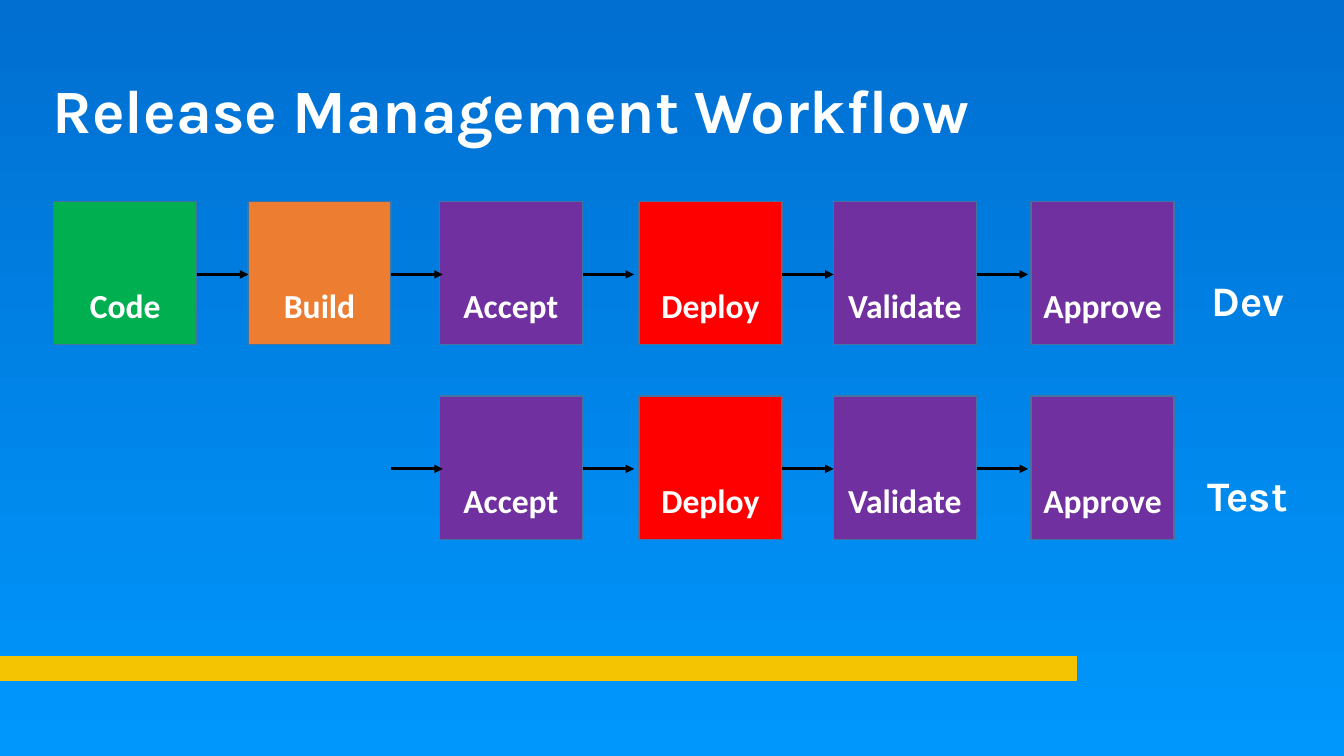
from pptx import Presentation
from pptx.dml.color import RGBColor
from pptx.enum.shapes import MSO_CONNECTOR as Connector, MSO_SHAPE as Shape
from pptx.enum.text import MSO_ANCHOR as Anchor, PP_ALIGN as Align
from pptx.oxml.ns import qn
from pptx.util import Cm, Pt
from lxml.etree import SubElement

# Content
TITLE = "Release Management Workflow"
STEPS = [  # name, fill, left edge in cm
    ("Code", "green", 1.35),
    ("Build", "orange", 6.25),
    ("Accept", "purple", 11.07),
    ("Deploy", "red", 16.1),
    ("Validate", "purple", 21),
    ("Approve", "purple", 25.98),
]
STAGES = [("Dev", 0, 5.08), ("Test", 2, 9.98)]  # name, first step, top in cm

COLORS = {
    "sky_top": "006FD1", "sky_bottom": "0097FC", "yellow": "F4C301",
    "green": "00B050", "orange": "ED7D31", "purple": "7030A0", "red": "FF0000",
    "outline": "43739E", "white": "FFFFFF", "black": "000000",
}
BOX = 3.61
ARROW = 1.3
LABEL_LEFT = 29.64


def color(name):
    return RGBColor.from_string(COLORS[name])


def add_run(paragraph, text, font, size):
    run = paragraph.add_run()
    run.text = text
    run.font.name = font
    run.font.size = Pt(size)
    run.font.bold = True
    run.font.color.rgb = color("white")


def add_box(left, top, width, height, fill, outline):
    shape = slide.shapes.add_shape(Shape.RECTANGLE, Cm(left), Cm(top), Cm(width), Cm(height))
    shape.shadow.inherit = False
    shape.fill.solid()
    shape.fill.fore_color.rgb = color(fill)
    shape.line.color.rgb = color(outline)
    shape.line.width = Pt(1)
    return shape


def write_low(shape, text, font, size):
    """Centre the text near the bottom edge of the shape."""
    frame = shape.text_frame
    frame.word_wrap = True
    frame.vertical_anchor = Anchor.BOTTOM
    frame.margin_left = frame.margin_right = Cm(0.1)
    frame.margin_bottom = Cm(0.49)
    frame.paragraphs[0].alignment = Align.CENTER
    add_run(frame.paragraphs[0], text, font, size)


def add_arrow(left, y):
    arrow = slide.shapes.add_connector(Connector.STRAIGHT, Cm(left), Cm(y), Cm(left + ARROW), Cm(y))
    arrow.line.color.rgb = color("black")
    arrow.line.width = Pt(2)
    SubElement(arrow.line._get_or_add_ln(), qn("a:tailEnd"), type="triangle")
    SubElement(arrow._element.spPr, qn("a:effectLst"))


presentation = Presentation()
presentation.slide_width, presentation.slide_height = Cm(33.87), Cm(19.05)
slide = presentation.slides.add_slide(presentation.slide_layouts[5])

# Background gradient and yellow bar
background = slide.background.fill
background.gradient()
background.gradient_angle = 270
for stop, name in zip(background.gradient_stops, ("sky_top", "sky_bottom")):
    stop.color.rgb = color(name)
add_box(0, 16.56, 27.13, 0.58, "yellow", "yellow")

# Title
title = slide.shapes.title
title.left, title.top, title.width, title.height = Cm(1.07), Cm(1.02), Cm(30.18), Cm(3.68)
title.text_frame.vertical_anchor = Anchor.MIDDLE
heading = title.text_frame.paragraphs[0]
heading.alignment = Align.LEFT
heading.line_spacing = 0.9
add_run(heading, TITLE, "Karla", 44)

# One row of steps per stage, with an arrow into each step after Code
for stage, first, top in STAGES:
    for name, fill, left in STEPS[first:]:
        write_low(add_box(left, top, BOX, BOX, fill, "outline"), name, "Calibri", 24)
    for name, fill, left in STEPS[max(first - 1, 0):-1]:
        add_arrow(left + BOX, top + BOX / 2 + 0.03)
    label = slide.shapes.add_textbox(Cm(LABEL_LEFT), Cm(top), Cm(BOX), Cm(BOX))
    write_low(label, stage, "Karla", 30)

presentation.save("out.pptx")
